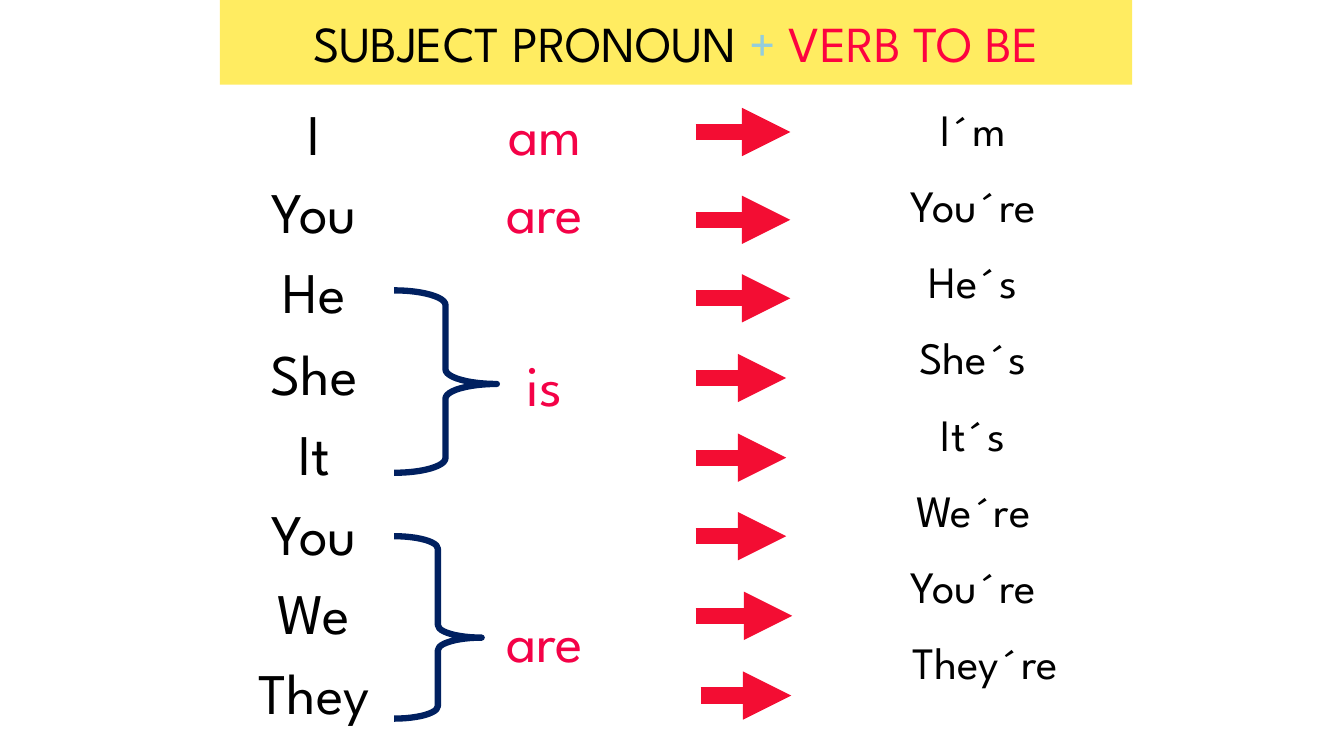
from lxml import etree
from pptx import Presentation
from pptx.dml.color import RGBColor
from pptx.enum.shapes import MSO_CONNECTOR, MSO_SHAPE
from pptx.enum.text import MSO_ANCHOR, MSO_AUTO_SIZE, PP_ALIGN
from pptx.oxml.ns import qn
from pptx.util import Pt

STRAIGHT = MSO_CONNECTOR.STRAIGHT
RECTANGLE = MSO_SHAPE.RECTANGLE
RIGHT_BRACE = MSO_SHAPE.RIGHT_BRACE
MIDDLE = MSO_ANCHOR.MIDDLE
GROW = MSO_AUTO_SIZE.SHAPE_TO_FIT_TEXT
CENTER = PP_ALIGN.CENTER

BLACK = RGBColor(0x00, 0x00, 0x00)
YELLOW = RGBColor(0xFF, 0xEC, 0x61)
SKY = RGBColor(0x93, 0xCD, 0xDD)
SCARLET = RGBColor(0xFD, 0x03, 0x3F)
PINK = RGBColor(0xF4, 0x02, 0x47)
RED = RGBColor(0xF3, 0x0D, 0x33)
NAVY = RGBColor(0x00, 0x20, 0x60)
FONT = "League Spartan"

TITLE = [("SUBJECT PRONOUN ", BLACK), ("+ ", SKY), ("VERB TO BE", SCARLET)]
PRONOUNS = [("I", 66.2), ("You", 122.4), ("He", 179.3), ("She", 238.3),
            ("It", 295.2), ("You", 352.1), ("We", 409), ("They", 465.8)]
VERBS = [("am", 66.2), ("are", 122.4), ("is", 245.5), ("are", 428.4)]
ARROWS = [(496.8, 564.5, 94.3), (496.8, 564.5, 157), (496.8, 564.5, 213.1),
          (496.8, 561.6, 270), (496.8, 561.6, 326.9), (496.8, 561.6, 383),
          (496.8, 565.9, 439.9), (500.4, 565.2, 496.8)]
BRACES = [(207.4, 73.4, 0.513), (383, 62.6, 0.556)]
SHORT_FORMS = [("I´m", 0), ("You´re", 0), ("He´s", 0), ("She´s", 0),
               ("It´s", 0), ("We´re", 0), ("You´re", 0), ("They´re", 17)]


def add_span(para, text, size, color):
    span = para.add_run()
    span.text = text
    span.font.name = FONT
    span.font.size = Pt(size)
    span.font.color.rgb = color
    outline = etree.Element(qn("a:ln"), w=str(Pt(2.25)))
    fill = etree.SubElement(outline, qn("a:solidFill"))
    etree.SubElement(fill, qn("a:srgbClr"), val=str(color))
    span.font._element.insert(0, outline)


def add_box(page, left, top, width, height):
    box = page.shapes.add_textbox(Pt(left), Pt(top), Pt(width), Pt(height))
    box.text_frame.word_wrap = True
    box.text_frame.auto_size = GROW
    return box.text_frame


def add_words(page, words, center, width, color):
    for word, top in words:
        para = add_box(page, center - width / 2, top, width, 56.9).paragraphs[0]
        para.alignment = CENTER
        add_span(para, word, 41, color)


def add_title(page):
    banner = page.shapes.add_shape(RECTANGLE, Pt(157), Pt(0), Pt(651.6), Pt(60.5))
    banner.shadow.inherit = False
    banner.fill.solid()
    banner.fill.fore_color.rgb = YELLOW
    banner.line.fill.background()
    banner.text_frame.word_wrap = True
    banner.text_frame.vertical_anchor = MIDDLE
    para = banner.text_frame.paragraphs[0]
    para.alignment = CENTER
    for text, color in TITLE:
        add_span(para, text, 36, color)


def add_arrow(page, start, end, y):
    arrow = page.shapes.add_connector(STRAIGHT, Pt(start), Pt(y), Pt(end), Pt(y))
    arrow.line.color.rgb = RED
    arrow.line.width = Pt(11.5)
    etree.SubElement(arrow.line._get_or_add_ln(), qn("a:tailEnd"), type="triangle")
    etree.SubElement(arrow._element.spPr, qn("a:effectLst"))


def add_brace(page, top, width, tip):
    brace = page.shapes.add_shape(RIGHT_BRACE, Pt(281.5), Pt(top), Pt(width), Pt(130.3))
    brace.shadow.inherit = False
    brace.fill.background()
    brace.line.color.rgb = NAVY
    brace.line.width = Pt(4.5)
    brace.adjustments[0] = 0.143
    brace.adjustments[1] = tip


def add_short_forms(page):
    frame = add_box(page, 587.5, 69.1, 215.3, 452.9)
    for index, (text, indent) in enumerate(SHORT_FORMS):
        para = frame.add_paragraph() if index else frame.paragraphs[0]
        properties = para._p.get_or_add_pPr()
        if index:
            before = etree.SubElement(properties, qn("a:spcBef"))
            etree.SubElement(before, qn("a:spcPct"), val="50000")
        if indent:
            properties.set("marL", str(Pt(indent)))
        para.alignment = CENTER
        add_span(para, text, 32, BLACK)


def main():
    deck = Presentation()
    deck.slide_width, deck.slide_height = Pt(960), Pt(540)
    page = deck.slides.add_slide(deck.slide_layouts[6])
    add_title(page)
    add_words(page, PRONOUNS, 224.3, 114.5, BLACK)
    add_words(page, VERBS, 389.2, 124.6, PINK)
    for arrow in ARROWS:
        add_arrow(page, *arrow)
    for brace in BRACES:
        add_brace(page, *brace)
    add_short_forms(page)
    deck.save("out.pptx")


if __name__ == "__main__":
    main()
